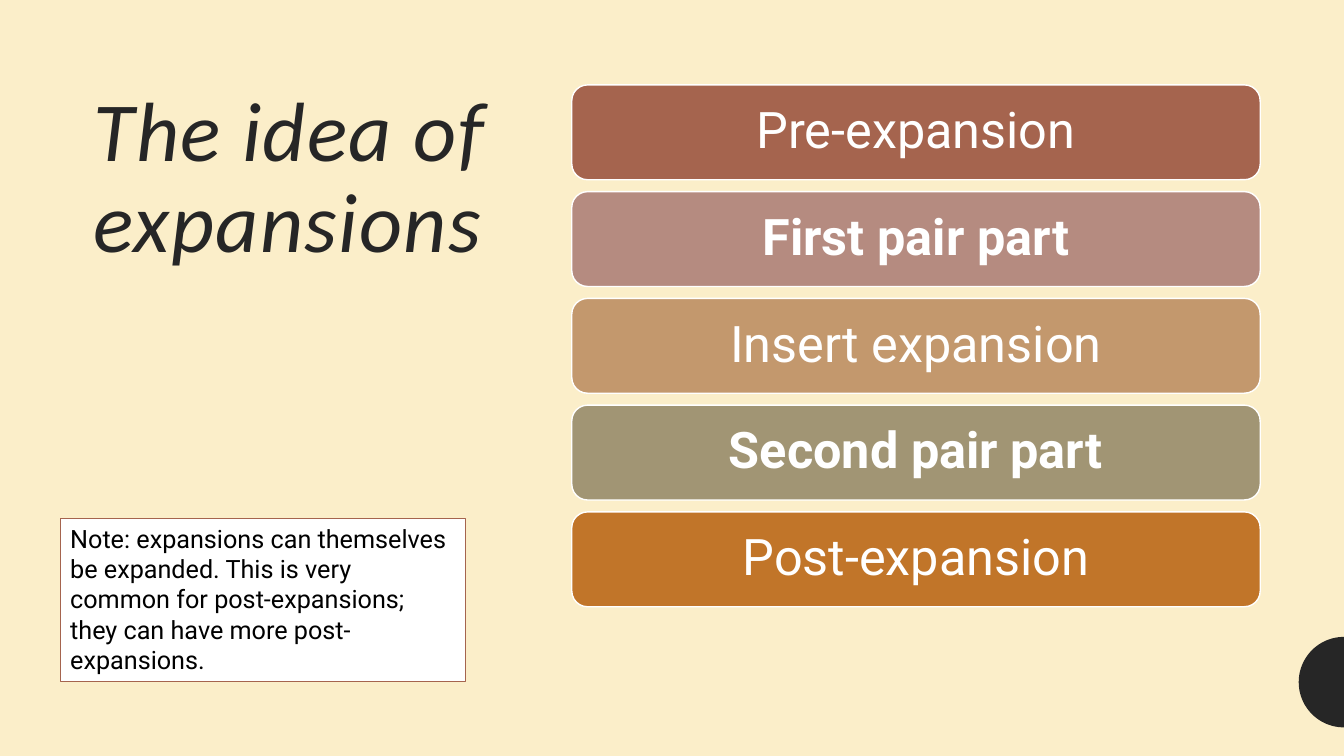
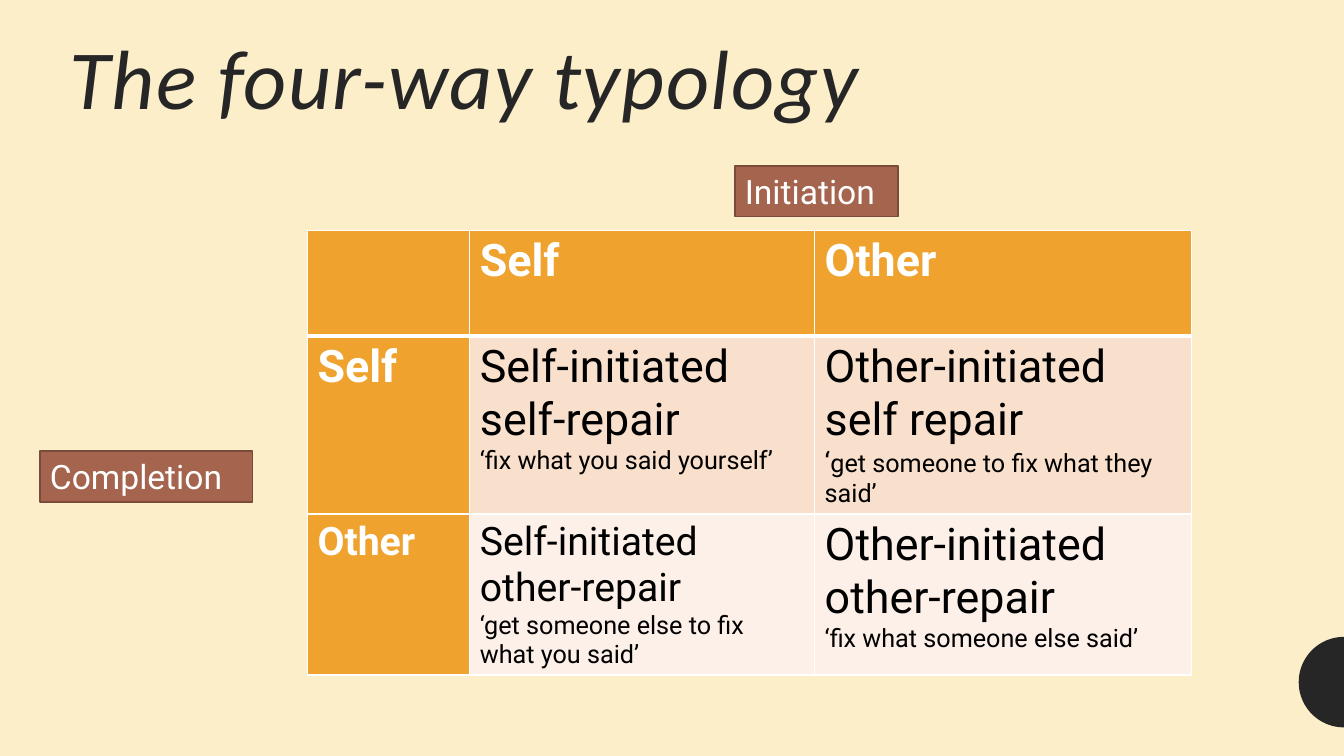
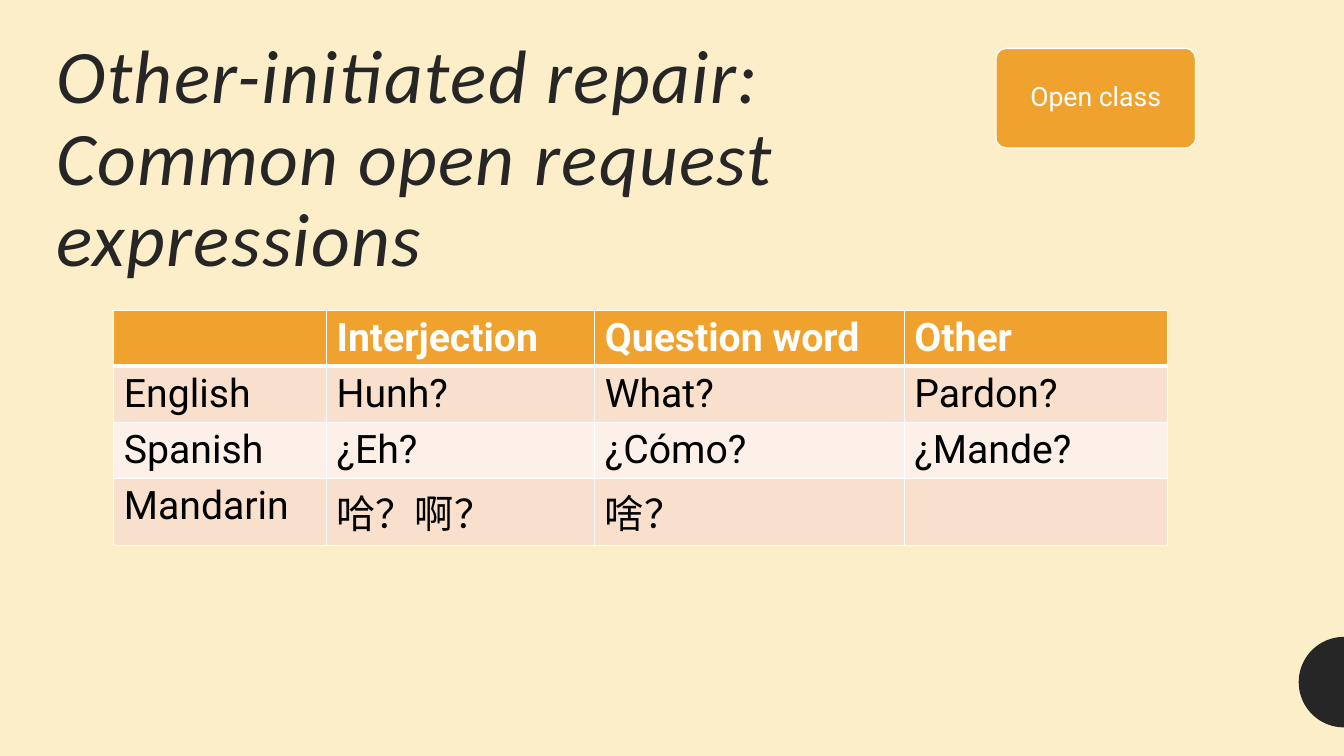
from dataclasses import dataclass
from math import cos, pi, sin

from lxml.etree import SubElement
from pptx import Presentation
from pptx.dml.color import RGBColor
from pptx.enum.shapes import MSO_SHAPE
from pptx.enum.text import MSO_ANCHOR, MSO_AUTO_SIZE, PP_ALIGN
from pptx.oxml.ns import qn
from pptx.util import Cm, Pt


@dataclass(frozen=True)
class Theme:
    paper: str = "FBEEC9"
    ink: str = "262626"
    black: str = "000000"
    white: str = "FFFFFF"
    brick: str = "A5644E"
    brick_edge: str = "7A4A3A"
    amber: str = "F0A22E"
    bands: tuple = ("F9E0CD", "FCF0E8")
    steps: tuple = ("A5644E", "B58B80", "C3986D", "A19574", "C17529")
    title_font: str = "Calibri"
    body_font: str = "Roboto"
    title: int = 60
    long_title: int = 54
    step: int = 36
    cell_large: int = 32
    cell: int = 28
    label: int = 24
    quote: int = 20
    tag: int = 19
    small: int = 18


THEME = Theme()


def rgb(code):
    return RGBColor.from_string(code)


def paint(fill, code):
    fill.solid()
    fill.fore_color.rgb = rgb(code)


class DeckBuilder:
    def __init__(self):
        self.deck = Presentation()
        self.deck.slide_width, self.deck.slide_height = Cm(33.87), Cm(19.05)
        paint(self.deck.slide_master.background.fill, THEME.paper)
        self.layout = self.deck.slide_layouts[5]
        self.page = None

    def add_page(self, title, left, top, width, height, size=THEME.title):
        self.page = self.deck.slides.add_slide(self.layout)
        if len(self.deck.slides) == 1:
            self.add_corner_disc()
        box = self.page.shapes.title
        place = {"left": left, "top": top, "width": width, "height": height}
        for name, value in place.items():
            setattr(box, name, Cm(value))
        frame = box.text_frame
        frame.auto_size = MSO_AUTO_SIZE.NONE
        self.add_text(frame, [[(title, size)]], THEME.ink, font=THEME.title_font,
                      italic=True, spacing=0.9, tracking=100)

    def add_corner_disc(self):
        """Put the half disc on the layout, so that every page shows it."""
        center_x, center_y, radius, steps = 33.87, 17.19, 1.14, 48
        angles = [pi / 2 + pi * step / steps for step in range(steps + 1)]
        points = [(Cm(center_x + radius * cos(angle)), Cm(center_y - radius * sin(angle)))
                  for angle in angles]
        builder = self.page.shapes.build_freeform(*points[0])
        builder.add_line_segments(points[1:], close=True)
        disc = builder.convert_to_shape()
        disc.shadow.inherit = False
        paint(disc.fill, THEME.ink)
        disc.line.fill.background()
        self.layout.shapes.element.append(disc.element)

    def add_text(self, frame, paragraphs, color, font=THEME.body_font, bold=False, italic=False,
                 align=PP_ALIGN.LEFT, anchor=MSO_ANCHOR.TOP, spacing=None, tracking=None):
        """Fill a frame; each paragraph is a list of (text, size) spans."""
        frame.word_wrap = True
        frame.vertical_anchor = anchor
        for index, spans in enumerate(paragraphs):
            para = frame.add_paragraph() if index else frame.paragraphs[0]
            para.alignment = align
            if spacing:
                para.line_spacing = spacing
            for text, size in spans:
                span = para.add_run()
                span.text = text
                style = {"name": font, "size": Pt(size), "bold": bold, "italic": italic}
                for name, value in style.items():
                    setattr(span.font, name, value)
                span.font.color.rgb = rgb(color)
                if tracking:
                    span.font._element.set("spc", str(tracking))

    def add_box(self, text, size, left, top, width, height, fill, edge, color=THEME.white):
        return self.add_panel(MSO_SHAPE.RECTANGLE, text, size, (left, top, width, height),
                              fill, edge, color=color)

    def add_card(self, text, size, left, top, width, height, fill, bold=False):
        return self.add_panel(MSO_SHAPE.ROUNDED_RECTANGLE, text, size,
                              (left, top, width, height), fill, THEME.white,
                              color=THEME.white, bold=bold, align=PP_ALIGN.CENTER,
                              anchor=MSO_ANCHOR.MIDDLE, spacing=0.9)

    def add_panel(self, kind, text, size, place, fill, edge, **style):
        panel = self.page.shapes.add_shape(kind, *map(Cm, place))
        panel.shadow.inherit = False
        paint(panel.fill, fill)
        panel.line.color.rgb = rgb(edge)
        panel.line.width = Pt(1)
        self.add_text(panel.text_frame, [[(text, size)]], **style)
        return panel

    def add_table(self, rows, left, top, widths, heights, first_column=False):
        """Draw a banded table; each cell is a list of paragraphs."""
        frame = self.page.shapes.add_table(len(rows), len(widths), Cm(left), Cm(top),
                                           Cm(sum(widths)), Cm(sum(heights)))
        table = frame.table
        table.horz_banding = False
        table.first_col = first_column
        for column, width in zip(table.columns, widths):
            column.width = Cm(width)
        for row, height in zip(table.rows, heights):
            row.height = Cm(height)
        for row_index, row in enumerate(rows):
            for column_index, paragraphs in enumerate(row):
                cell = table.cell(row_index, column_index)
                is_head = row_index == 0 or (first_column and column_index == 0)
                self.add_borders(cell, row_index)
                paint(cell.fill, THEME.amber if is_head else THEME.bands[(row_index - 1) % 2])
                self.add_text(cell.text_frame, paragraphs,
                              THEME.white if is_head else THEME.black, bold=is_head)

    def add_borders(self, cell, row_index):
        """Thin white borders, with a thick rule under the header row."""
        widths = {"lnL": 1, "lnR": 1, "lnT": 3 if row_index == 1 else 1,
                  "lnB": 3 if row_index == 0 else 1}
        properties = cell._tc.get_or_add_tcPr()
        for tag, width in widths.items():
            line = SubElement(properties, qn(f"a:{tag}"), w=str(Pt(width)))
            fill = SubElement(line, qn("a:solidFill"))
            SubElement(fill, qn("a:srgbClr"), val=THEME.white)


def build_expansions(builder):
    builder.add_page("The idea of expansions", 2.11, 2.11, 10.64, 5.56)
    steps = ["Pre-expansion", "First pair part", "Insert expansion",
             "Second pair part", "Post-expansion"]
    for index, (step, color) in enumerate(zip(steps, THEME.steps)):
        builder.add_card(step, THEME.step, 14.41, 2.14 + 2.69 * index, 17.35, 2.39, color,
                         bold=step.endswith("pair part"))
    builder.add_box("Note: expansions can themselves be expanded. This is very common for "
                    "post-expansions; they can have more post-expansions.",
                    THEME.small, 1.52, 13.06, 10.21, 4.11, THEME.white, THEME.brick, THEME.black)


def build_typology(builder):
    builder.add_page("The four-way typology", 1.5, 0.81, 25.73, 3.38)
    large, medium, small = THEME.cell_large, THEME.cell, THEME.small
    rows = [
        [[], [[("Self", large)]], [[("Other", large)]]],
        [[[("Self", large)]],
         [[("Self-initiated self-repair", large)], [("‘fix what you said yourself’", small)]],
         [[("Other-initiated self repair", large)],
          [("‘", THEME.quote), ("get someone to fix what they said’", small)]]],
        [[[("Other", medium)]],
         [[("Self-initiated other-repair", medium)],
          [("‘get someone else to fix what you said’", small)]],
         [[("Other-initiated other-repair", large)], [("‘fix what someone else said’", small)]]],
    ]
    builder.add_table(rows, 7.75, 5.8, [4.09, 8.69, 9.5], [2.67, 4.47, 4.06], first_column=True)
    for text, left, top, width in [("Initiation", 18.52, 4.18, 4.11),
                                   ("Completion", 1.01, 11.37, 5.36)]:
        builder.add_box(text, THEME.label, left, top, width, 1.28, THEME.brick, THEME.brick_edge)


def build_requests(builder):
    builder.add_page("Other-initiated repair: Common open request expressions",
                     1.17, 0.84, 21.16, 5.77, THEME.long_title)
    words = [
        ["", "Interjection", "Question word", "Other"],
        ["English", "Hunh?", "What?", "Pardon?"],
        ["Spanish", "¿Eh?", "¿Cómo?", "¿Mande?"],
        ["Mandarin", "哈？啊？", "啥？", ""],
    ]
    rows = [[[[(word, THEME.cell)]] if word else [] for word in row] for row in words]
    builder.add_table(rows, 2.87, 7.82, [5.36, 6.76, 7.8, 6.63], [1.41, 1.41, 1.41, 1.69])
    card = builder.add_card("Open class", THEME.tag, 25.1, 1.22, 5.03, 2.51, THEME.amber)
    card.adjustments[0] = 0.1


def main():
    builder = DeckBuilder()
    for build in (build_expansions, build_typology, build_requests):
        build(builder)
    builder.deck.save("out.pptx")


if __name__ == "__main__":
    main()
